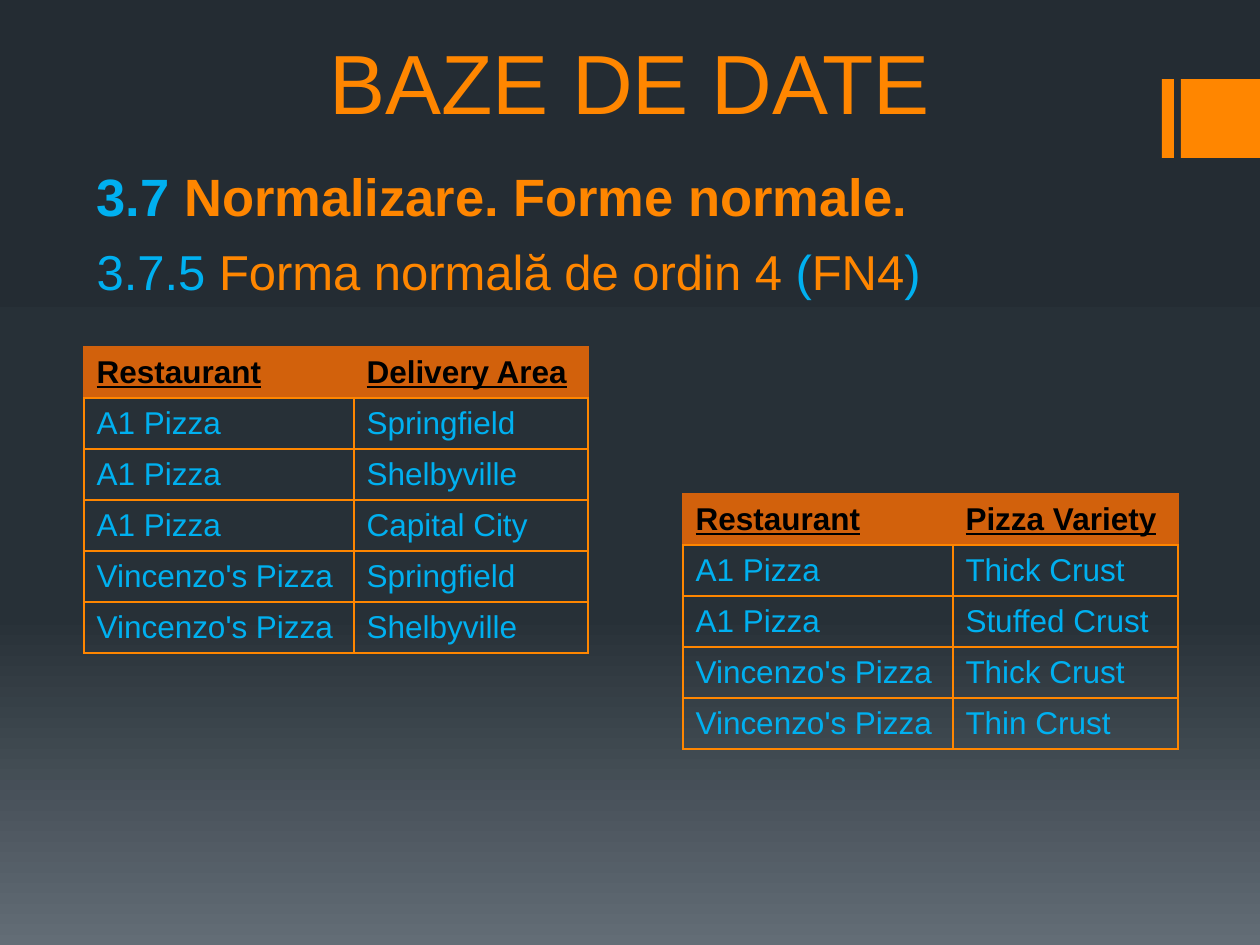
from lxml import etree
from pptx import Presentation
from pptx.dml.color import RGBColor
from pptx.enum.shapes import MSO_SHAPE
from pptx.enum.text import MSO_ANCHOR, PP_ALIGN
from pptx.oxml import parse_xml
from pptx.oxml.ns import qn
from pptx.util import Pt

LEFT, CENTER, JUSTIFY = PP_ALIGN.LEFT, PP_ALIGN.CENTER, PP_ALIGN.JUSTIFY
TOP, MIDDLE, BOTTOM = MSO_ANCHOR.TOP, MSO_ANCHOR.MIDDLE, MSO_ANCHOR.BOTTOM
RECTANGLE = MSO_SHAPE.RECTANGLE
NAMESPACE = "http://schemas.openxmlformats.org/drawingml/2006/main"
PX = 914400 // 126
FONT = "Arial"
COLORS = {"orange": "FF8600", "blue": "00B0F0", "header": "D2610C", "black": "000000"}

# Content
TITLE = "BAZE DE DATE"
HEADINGS = [
    {"runs": [("3.7 ", "blue"), ("Normalizare. Forme normale.", "orange")],
     "size": 30, "bold": True, "align": LEFT, "before": 3},
    {"runs": [("3.7.5 ", "blue"), ("Forma normală de ordin 4 ", "orange"),
              ("(", "blue"), ("FN4", "orange"), (")", "blue")],
     "size": 28, "bold": False, "align": JUSTIFY, "before": 8},
]
TABLES = [
    {"at": (683, 494), "columns": (270, 225), "rows": [
        ("Restaurant", "Pizza Variety"),
        ("A1 Pizza", "Thick Crust"),
        ("A1 Pizza", "Stuffed Crust"),
        ("Vincenzo's Pizza", "Thick Crust"),
        ("Vincenzo's Pizza", "Thin Crust")]},
    {"at": (84, 347), "columns": (270, 234), "rows": [
        ("Restaurant", "Delivery Area"),
        ("A1 Pizza", "Springfield"),
        ("A1 Pizza", "Shelbyville"),
        ("A1 Pizza", "Capital City"),
        ("Vincenzo's Pizza", "Springfield"),
        ("Vincenzo's Pizza", "Shelbyville")]},
]
ROW_HEIGHT = 51
BARS = [(1162, 79, 12, 79), (1181, 79, 79, 79)]
GRADIENT = [(0, "242C33"), (65, "273037"), (100, "636D76")]


def px(*lengths):
    return [length * PX for length in lengths]


def rgb(name):
    return RGBColor.from_string(COLORS[name])


def add_text(paragraph, text, size=18, color="blue", bold=False, underline=False):
    run = paragraph.add_run()
    run.text = text
    font = run.font
    font.name, font.size, font.bold, font.underline = FONT, Pt(size), bold, underline
    font.color.rgb = rgb(color)


def place(shape, box, anchor):
    shape.left, shape.top, shape.width, shape.height = px(*box)
    shape.text_frame.vertical_anchor = anchor
    shape.text_frame.word_wrap = True
    return shape.text_frame


def set_background(slide):
    slide.background.fill.solid()
    properties = slide.background.fill._xPr
    stops = "".join(f'<a:gs pos="{position * 1000}"><a:srgbClr val="{color}"/></a:gs>'
                    for position, color in GRADIENT)
    gradient = parse_xml(f'<a:gradFill xmlns:a="{NAMESPACE}" rotWithShape="1"><a:gsLst>{stops}'
                         '</a:gsLst><a:lin ang="5400000" scaled="0"/></a:gradFill>')
    properties.replace(properties.find(qn("a:solidFill")), gradient)


def set_borders(cell, is_header):
    properties = cell._tc.get_or_add_tcPr()
    for side in "LRTB":
        line = etree.SubElement(properties, qn(f"a:ln{side}"), w=str(Pt(1)))
        fill = etree.SubElement(line, qn("a:solidFill"))
        color = "header" if is_header and side != "B" else "orange"
        etree.SubElement(fill, qn("a:srgbClr"), val=COLORS[color])


def add_table(slide, at, columns, rows):
    box = px(*at, sum(columns), ROW_HEIGHT * len(rows))
    table = slide.shapes.add_table(len(rows), len(columns), *box).table
    for column, width in zip(table.columns, columns):
        column.width = width * PX
    for row_index, row in enumerate(rows):
        table.rows[row_index].height = ROW_HEIGHT * PX
        is_header = row_index == 0
        for column_index, text in enumerate(row):
            cell = table.cell(row_index, column_index)
            cell.vertical_anchor = MIDDLE
            set_borders(cell, is_header)
            if is_header:
                cell.fill.solid()
                cell.fill.fore_color.rgb = rgb("header")
            else:
                cell.fill.background()
            add_text(cell.text_frame.paragraphs[0], text, bold=is_header,
                     underline=is_header, color="black" if is_header else "blue")


def main():
    presentation = Presentation()
    presentation.slide_width, presentation.slide_height = px(1260, 945)
    slide = presentation.slides.add_slide(presentation.slide_layouts[0])
    set_background(slide)

    # Corner bars
    for box in BARS:
        bar = slide.shapes.add_shape(RECTANGLE, *px(*box))
        bar.shadow.inherit = False
        bar.fill.solid()
        bar.fill.fore_color.rgb = rgb("orange")
        bar.line.fill.background()

    # Title and headings
    title = place(slide.shapes.title, (94, 0, 1072, 138), BOTTOM).paragraphs[0]
    title.alignment = CENTER
    add_text(title, TITLE, size=48, color="orange")
    body = place(slide.placeholders[1], (84, 158, 1092, 703), TOP)
    for index, heading in enumerate(HEADINGS):
        paragraph = body.add_paragraph() if index else body.paragraphs[0]
        paragraph.alignment = heading["align"]
        paragraph.space_before = Pt(heading["before"])
        for text, color in heading["runs"]:
            add_text(paragraph, text, size=heading["size"], color=color, bold=heading["bold"])

    # Tables
    for table in TABLES:
        add_table(slide, **table)

    presentation.save("out.pptx")


if __name__ == "__main__":
    main()
